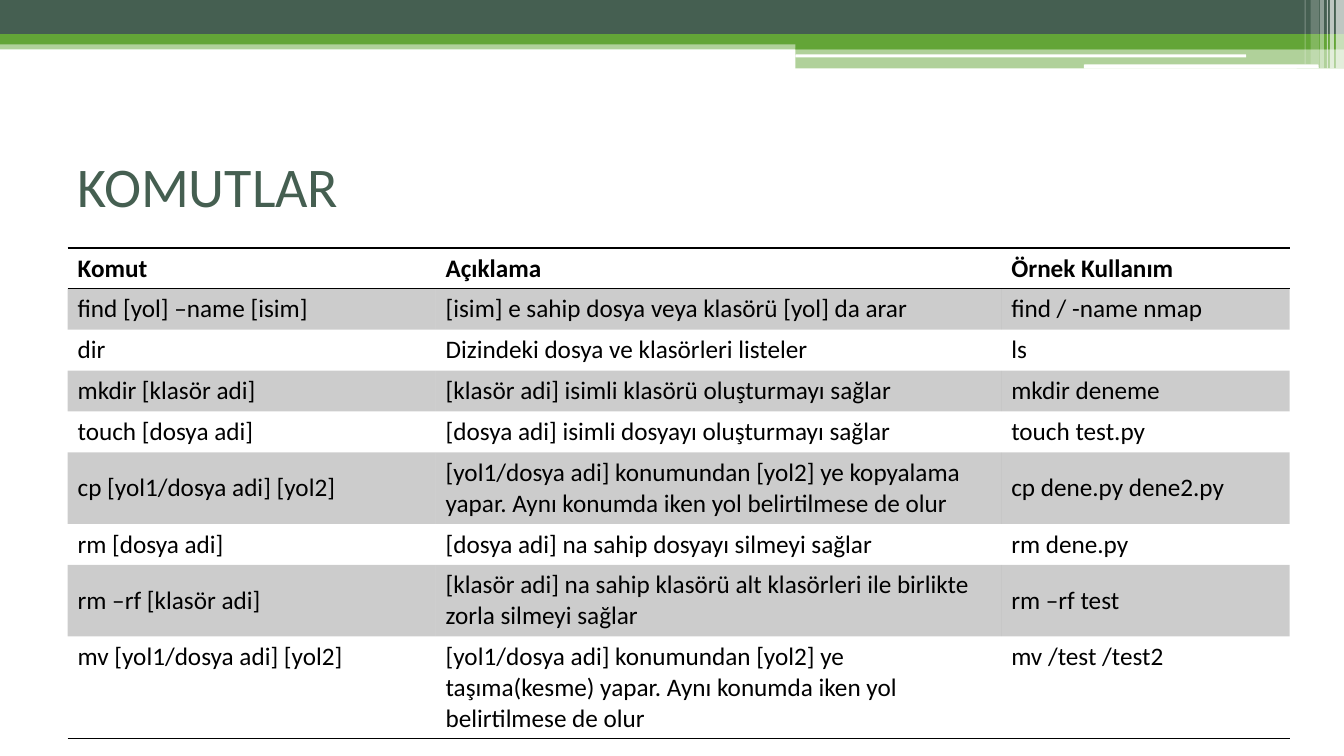
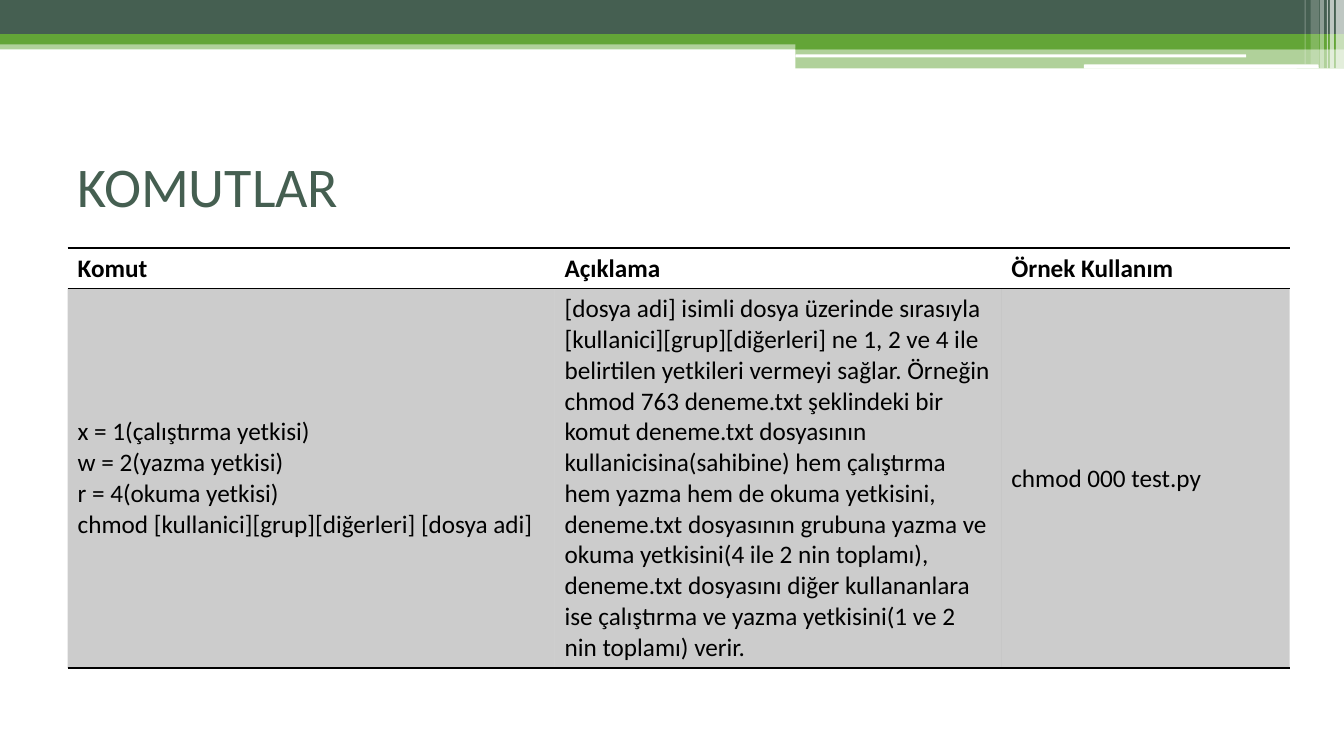
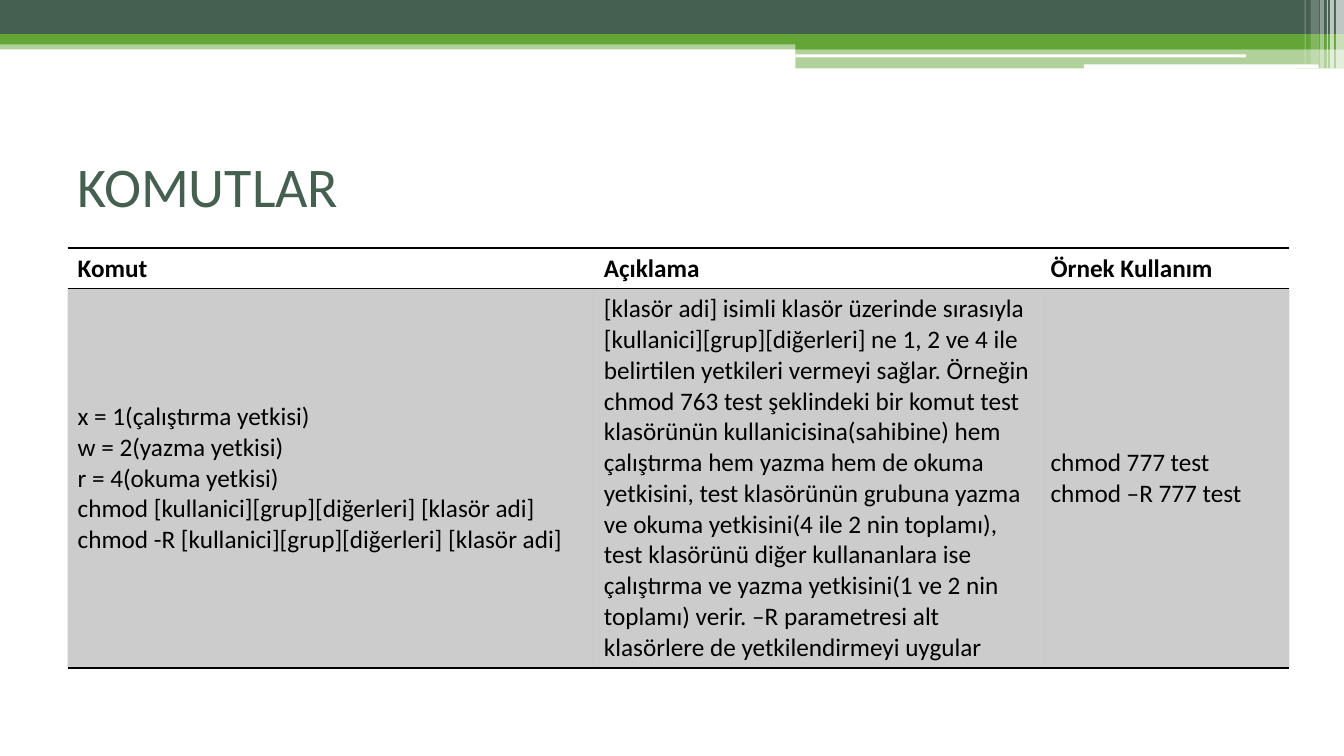
from dataclasses import dataclass

from lxml import etree
from pptx import Presentation
from pptx.dml.color import RGBColor
from pptx.enum.shapes import MSO_SHAPE
from pptx.enum.text import MSO_ANCHOR, PP_ALIGN
from pptx.oxml.ns import qn
from pptx.util import Inches, Pt

RECT, ROUNDED = MSO_SHAPE.RECTANGLE, MSO_SHAPE.ROUNDED_RECTANGLE
TOP, MIDDLE = MSO_ANCHOR.TOP, MSO_ANCHOR.MIDDLE
LEFT = PP_ALIGN.LEFT


@dataclass(frozen=True)
class Theme:
    forest: str = "455F51"
    leaf: str = "63A537"
    white: str = "FFFFFF"
    ink: str = "000000"
    font: str = "Calibri"
    title_size: int = 40
    cell_size: int = 18
    stripe_opacity: int = 20
    rule_width: int = 1


THEME = Theme()
SLIDE_W, SLIDE_H = 13.33, 7.5
MARGIN = 0.67
TITLE_BOX = (MARGIN, 1.25, 12, 1.17)
TABLE_TOP = 2.46
LINE_H, ROW_PADDING = 0.3, 0.1
STYLE_WITHOUT_GRID = "{2D5ABB26-0587-4C30-8999-92F81FD0307C}"

HALF = SLIDE_W - 5.44
BANDS = [
    (RECT, 0, 0.4, SLIDE_W, 0.09, THEME.leaf, 50),
    (RECT, 0, 0, SLIDE_W, 0.34, THEME.forest, 100),
    (RECT, 0, 0.34, SLIDE_W, 0.1, THEME.leaf, 100),
    (RECT, HALF, 0.39, 5.44, 0.1, THEME.leaf, 100),
    (RECT, HALF, 0.48, 5.44, 0.2, THEME.leaf, 50),
    (ROUNDED, HALF, 0.54, 4.47, 0.03, THEME.white, 100),
    (ROUNDED, 10.75, 0.64, 2.33, 0.04, THEME.white, 100),
]
GLINTS = [
    (13.25, 0.08, 0.68, 65),
    (13.19, 0.04, 0.68, 65),
    (13.16, 0.01, 0.68, 60),
    (13.09, 0.04, 0.68, 40),
    (13, 0.08, 0.64, 20),
    (12.94, 0.01, 0.64, 30),
]
BANDS += [(RECT, left, 0, width, height, THEME.white, opacity)
          for left, width, height, opacity in GLINTS]

TITLE = "KOMUTLAR"
HEADER = (1, "Komut", "Açıklama", "Örnek Kullanım")
PERMISSIONS = "x = 1(çalıştırma yetkisi)\nw = 2(yazma yetkisi)\nr = 4(okuma yetkisi)\n"

COMMAND_SLIDES = [
    {
        "columns": (3.65, 5.61, 2.86),
        "commands": [
            (1, "find [yol] –name [isim]",
             "[isim] e sahip dosya veya klasörü [yol] da arar", "find / -name nmap"),
            (1, "dir", "Dizindeki dosya ve klasörleri listeler", "ls"),
            (1, "mkdir [klasör adi]",
             "[klasör adi] isimli klasörü oluşturmayı sağlar", "mkdir deneme"),
            (1, "touch [dosya adi]",
             "[dosya adi] isimli dosyayı oluşturmayı sağlar", "touch test.py"),
            (2, "cp [yol1/dosya adi] [yol2]",
             "[yol1/dosya adi] konumundan [yol2] ye kopyalama yapar. "
             "Aynı konumda iken yol belirtilmese de olur", "cp dene.py dene2.py"),
            (1, "rm [dosya adi]",
             "[dosya adi] na sahip dosyayı silmeyi sağlar", "rm dene.py"),
            (2, "rm –rf [klasör adi]",
             "[klasör adi] na sahip klasörü alt klasörleri ile birlikte "
             "zorla silmeyi sağlar", "rm –rf test"),
            (3, "mv [yol1/dosya adi] [yol2]",
             "[yol1/dosya adi] konumundan [yol2] ye taşıma(kesme) yapar. "
             "Aynı konumda iken yol belirtilmese de olur", "mv /test /test2"),
        ],
    },
    {
        "columns": (4.83, 4.43, 2.86),
        "commands": [
            (12, PERMISSIONS + "chmod [kullanici][grup][diğerleri] [dosya adi]",
             "[dosya adi] isimli dosya üzerinde sırasıyla "
             "[kullanici][grup][diğerleri] ne 1, 2 ve 4 ile belirtilen yetkileri "
             "vermeyi sağlar. Örneğin chmod 763 deneme.txt şeklindeki bir komut "
             "deneme.txt dosyasının kullanicisina(sahibine) hem çalıştırma hem "
             "yazma hem de okuma yetkisini, deneme.txt dosyasının grubuna yazma ve "
             "okuma yetkisini(4 ile 2 nin toplamı), deneme.txt dosyasını diğer "
             "kullananlara ise çalıştırma ve yazma yetkisini(1 ve 2 nin toplamı) "
             "verir.", "chmod 000 test.py"),
        ],
    },
    {
        "columns": (5.22, 4.43, 2.47),
        "commands": [
            (12, PERMISSIONS + "chmod [kullanici][grup][diğerleri] [klasör adi]\n"
             "chmod -R [kullanici][grup][diğerleri] [klasör adi]",
             "[klasör adi] isimli klasör üzerinde sırasıyla "
             "[kullanici][grup][diğerleri] ne 1, 2 ve 4 ile belirtilen yetkileri "
             "vermeyi sağlar. Örneğin chmod 763 test şeklindeki bir komut test "
             "klasörünün kullanicisina(sahibine) hem çalıştırma hem yazma hem de "
             "okuma yetkisini, test klasörünün grubuna yazma ve okuma yetkisini(4 "
             "ile 2 nin toplamı), test klasörünü diğer kullananlara ise çalıştırma "
             "ve yazma yetkisini(1 ve 2 nin toplamı) verir. –R parametresi alt "
             "klasörlere de yetkilendirmeyi uygular",
             "chmod 777 test\nchmod –R 777 test"),
        ],
    },
]


def paint(fill, properties, color, opacity):
    fill.solid()
    fill.fore_color.rgb = RGBColor.from_string(color)
    if opacity < 100:
        tint = properties.find(qn("a:solidFill")).find(qn("a:srgbClr"))
        etree.SubElement(tint, qn("a:alpha"), val=str(opacity * 1000))


def write(paragraph, text, size, color, bold=False):
    run = paragraph.add_run()
    run.text = text
    run.font.name = THEME.font
    run.font.size = Pt(size)
    run.font.bold = bold
    run.font.color.rgb = RGBColor.from_string(color)


def move_bands_to_layout(slide, layout):
    for kind, left, top, width, height, color, opacity in BANDS:
        band = slide.shapes.add_shape(
            kind, *(Inches(v) for v in (left, top, width, height)))
        band.shadow.inherit = False
        band.line.fill.background()
        paint(band.fill, band.element.spPr, color, opacity)
        layout.shapes.element.append(band.element)


def add_title(slide):
    title = slide.shapes.title
    title.left, title.top, title.width, title.height = (Inches(v) for v in TITLE_BOX)
    title.text_frame.vertical_anchor = MIDDLE
    paragraph = title.text_frame.paragraphs[0]
    paragraph.alignment = LEFT
    write(paragraph, TITLE, THEME.title_size, THEME.forest)


def add_rule(properties, side):
    rule = etree.SubElement(properties, qn(side), w=str(Pt(THEME.rule_width)))
    ink = etree.SubElement(rule, qn("a:solidFill"))
    etree.SubElement(ink, qn("a:srgbClr"), val=THEME.ink)


def add_command_table(slide, columns, commands):
    rows = [HEADER, *commands]
    heights = [LINE_H * lines + ROW_PADDING for lines, *_ in rows]
    frame = slide.shapes.add_table(
        len(rows), len(columns), Inches(MARGIN), Inches(TABLE_TOP),
        Inches(sum(columns)), Inches(sum(heights)))
    frame.element.find(".//" + qn("a:tableStyleId")).text = STYLE_WITHOUT_GRID
    table = frame.table
    for column, width in zip(table.columns, columns):
        column.width = Inches(width)
    for row, height in zip(table.rows, heights):
        row.height = Inches(height)

    cell_elements = frame.element.iter(qn("a:tc"))
    for index, (cell, element) in enumerate(zip(table.iter_cells(), cell_elements)):
        r, c = divmod(index, len(columns))
        striped = r % 2 == 1
        properties = element.get_or_add_tcPr()
        if r == 0:
            add_rule(properties, "a:lnT")
        if r in (0, len(rows) - 1):
            add_rule(properties, "a:lnB")
        if striped:
            paint(cell.fill, properties, THEME.ink, THEME.stripe_opacity)
        else:
            cell.fill.background()
        cell.vertical_anchor = MIDDLE if striped and c != 1 else TOP
        for i, line in enumerate(rows[r][c + 1].split("\n")):
            text = cell.text_frame
            paragraph = text.add_paragraph() if i else text.paragraphs[0]
            write(paragraph, line, THEME.cell_size, THEME.ink, bold=r == 0)


def main():
    deck = Presentation()
    deck.slide_width, deck.slide_height = Inches(SLIDE_W), Inches(SLIDE_H)
    layout = deck.slide_layouts[5]
    for number, content in enumerate(COMMAND_SLIDES):
        slide = deck.slides.add_slide(layout)
        if number == 0:
            move_bands_to_layout(slide, layout)
        add_title(slide)
        add_command_table(slide, **content)
    deck.save("out.pptx")


if __name__ == "__main__":
    main()
